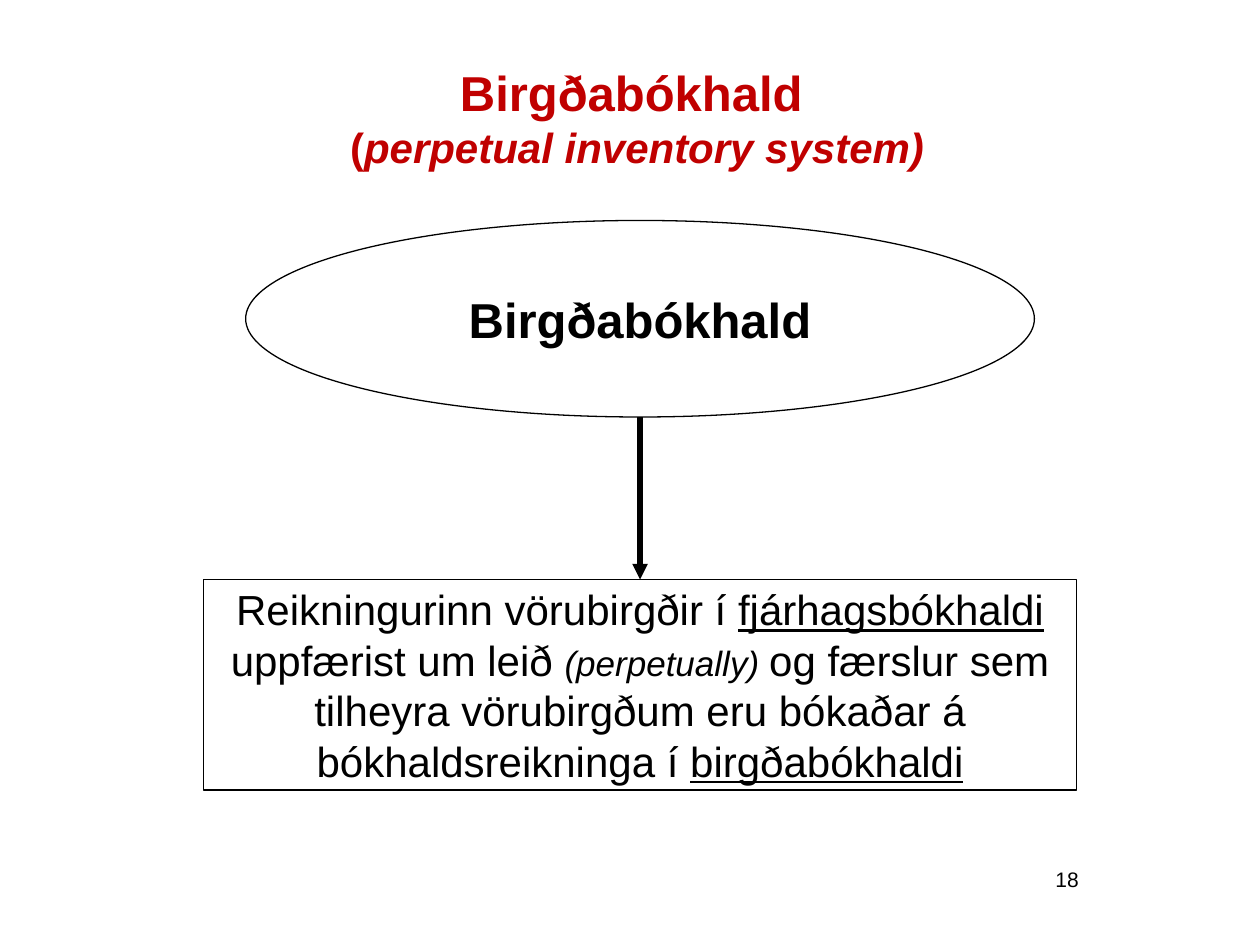
from lxml.etree import SubElement
from pptx import Presentation
from pptx.dml.color import RGBColor
from pptx.enum.shapes import MSO_CONNECTOR, MSO_SHAPE
from pptx.enum.text import MSO_ANCHOR, PP_ALIGN
from pptx.oxml.ns import qn
from pptx.util import Inches, Pt

COLORS = {"text": "000000", "title": "C00000", "line": "000000"}
FONT = "Arial"
CENTER_X = 5.08


def rgb(name):
    return RGBColor.from_string(COLORS[name])


def add_run(p, text, size=24, color="text", bold=False, italic=False, underline=False):
    r = p.add_run()
    r.text = text
    r.font.name = FONT
    r.font.size = Pt(size)
    r.font.color.rgb = rgb(color)
    r.font.bold = bold
    r.font.italic = italic
    r.font.underline = underline


def first_paragraph(sp, align=PP_ALIGN.CENTER, anchor=MSO_ANCHOR.MIDDLE):
    tf = sp.text_frame
    tf.word_wrap = True
    tf.vertical_anchor = anchor
    p = tf.paragraphs[0]
    p.alignment = align
    return p


def add_title(s):
    sp = s.shapes.title
    sp.left, sp.top = Inches(0.27), Inches(0.28)
    sp.width, sp.height = Inches(9.48), Inches(1.3)
    p = first_paragraph(sp)
    add_run(p, "Birgðabókhald", size=28, color="title", bold=True)
    p.add_line_break()
    add_run(p, " (", color="title", bold=True)
    add_run(p, "perpetual inventory system)", color="title", bold=True, italic=True)


def add_outline(s, kind, top, width, height):
    sp = s.shapes.add_shape(kind, Inches(CENTER_X - width / 2), Inches(top),
                            Inches(width), Inches(height))
    sp.shadow.inherit = False
    sp.fill.background()
    sp.line.color.rgb = rgb("line")
    sp.line.width = Pt(0.75)
    return sp


def add_arrow(s, source, target):
    x = Inches(CENTER_X)
    line = s.shapes.add_connector(MSO_CONNECTOR.STRAIGHT, x, source.top + source.height,
                                  x, target.top)
    line.end_connect(target, 0)
    line.line.color.rgb = rgb("line")
    line.line.width = Pt(3)
    SubElement(line.line._get_or_add_ln(), qn("a:tailEnd"), type="triangle")
    SubElement(line._element.spPr, qn("a:effectLst"))


def add_page_number(s, number):
    sp = s.shapes.add_textbox(Inches(6.58), Inches(6.83), Inches(2.08), Inches(0.5))
    add_run(first_paragraph(sp, PP_ALIGN.RIGHT, MSO_ANCHOR.TOP), number, size=12)


def main():
    prs = Presentation()
    prs.slide_width, prs.slide_height = Inches(10), Inches(7.5)
    s = prs.slides.add_slide(prs.slide_layouts[5])
    add_page_number(s, "18")
    add_title(s)

    ledger = add_outline(s, MSO_SHAPE.OVAL, 1.75, 6.26, 1.56)
    add_run(first_paragraph(ledger), "Birgðabókhald", size=28, bold=True)

    description = add_outline(s, MSO_SHAPE.RECTANGLE, 4.6, 6.93, 1.67)
    p = first_paragraph(description)
    add_run(p, "Reikningurinn vörubirgðir í ")
    add_run(p, "fjárhagsbókhaldi", underline=True)
    add_run(p, " uppfærist um leið ")
    add_run(p, "(perpetually) ", size=20, italic=True)
    add_run(p, "og færslur sem tilheyra vörubirgðum eru bókaðar á bókhaldsreikninga í ")
    add_run(p, "birgðabókhaldi", underline=True)

    add_arrow(s, ledger, description)
    prs.save("out.pptx")


if __name__ == "__main__":
    main()
